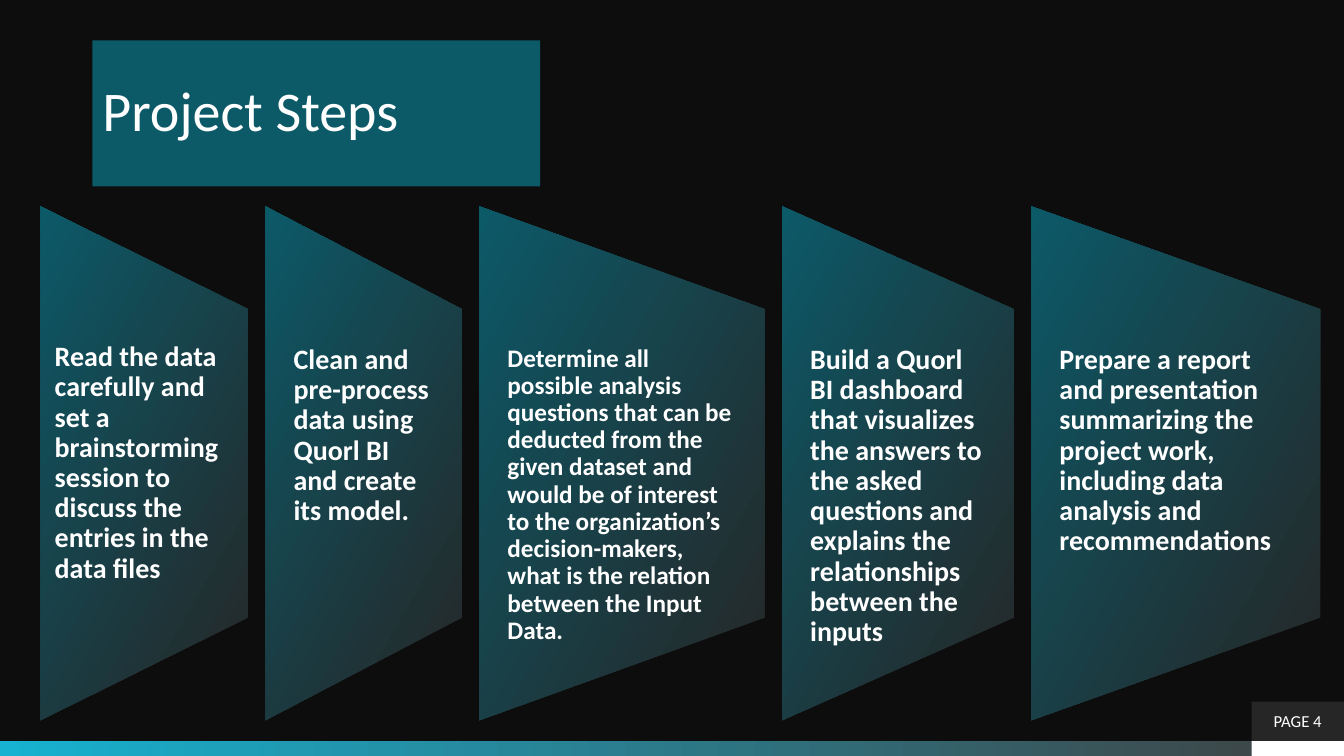
from pptx import Presentation
from pptx.dml.color import RGBColor
from pptx.enum.shapes import MSO_SHAPE as Preset
from pptx.enum.text import MSO_ANCHOR as Anchor, MSO_AUTO_SIZE as AutoSize, PP_ALIGN as Align
from pptx.oxml.ns import qn
from pptx.util import Cm, Pt

BLACK = RGBColor(0x0D, 0x0D, 0x0D)
CHARCOAL = RGBColor(0x26, 0x26, 0x26)
GREY = RGBColor(0x40, 0x40, 0x40)
TEAL = RGBColor(0x0C, 0x59, 0x68)
CYAN = RGBColor(0x17, 0xB2, 0xD1)
WHITE = RGBColor(0xFF, 0xFF, 0xFF)

SLIDE_W, SLIDE_H = 33.87, 19.05
BAR_H = 0.38
PAGE_W, PAGE_H = 2.33, 0.99
STEPS_LEFT, STEPS_TOP, STEPS_H, STEP_GAP = 1.02, 5.2, 12.95, 0.44

# Width, font size, side inset, top inset, anchor, wording
STEPS = [
    (5.23, 20, 0.36, 0, Anchor.MIDDLE,
     "Read the data carefully and set a brainstorming session to discuss "
     "the entries in the data files"),
    (4.95, 20, 0.71, 0.91, Anchor.TOP,
     "Clean and pre-process data using Quorl BI and create its model."),
    (7.19, 18, 0.71, 0.91, Anchor.TOP,
     "Determine all possible analysis questions that can be deducted from "
     "the given dataset and would be of interest to the organization’s "
     "decision-makers, what is the relation between the Input Data."),
    (5.84, 20, 0.71, 0.91, Anchor.TOP,
     "Build a Quorl BI dashboard that visualizes the answers to the asked "
     "questions and explains the relationships between the inputs"),
    (7.28, 20, 0.71, 0.91, Anchor.TOP,
     "Prepare a report and presentation summarizing the project work, "
     "including data analysis and recommendations"),
]


class StepsSlide:
    font = "Calibri"

    def __init__(self, deck):
        self.slide = deck.slides.add_slide(deck.slide_layouts[5])
        self.slide.background.fill.solid()
        self.slide.background.fill.fore_color.rgb = BLACK

    def set_text(self, holder, text, size, bold=False, align=Align.LEFT,
                 anchor=Anchor.MIDDLE, insets=(0.25, 0.13), spacing=0.9):
        """Fill a shape with one paragraph in the slide's style."""
        frame = holder.text_frame
        frame.text = text
        frame.word_wrap = True
        frame.auto_size = AutoSize.NONE
        frame.vertical_anchor = anchor
        frame.margin_left = frame.margin_right = Cm(insets[0])
        frame.margin_top = frame.margin_bottom = Cm(insets[1])
        paragraph = frame.paragraphs[0]
        paragraph.alignment = align
        paragraph.line_spacing = spacing
        font = paragraph.runs[0].font
        font.name, font.size, font.bold = self.font, Pt(size), bold
        font.color.rgb = WHITE

    def title(self, text, left, top, width, height):
        heading = self.slide.shapes.title
        heading.left, heading.top = Cm(left), Cm(top)
        heading.width, heading.height = Cm(width), Cm(height)
        heading.fill.solid()
        heading.fill.fore_color.rgb = TEAL
        self.set_text(heading, text, 40, insets=(0.25, 0.3))

    def block(self, left, top, width, height, color=None, preset=Preset.RECTANGLE):
        block = self.slide.shapes.add_shape(
            preset, Cm(left), Cm(top), Cm(width), Cm(height))
        block.shadow.inherit = False
        block.line.fill.background()
        if color is not None:
            block.fill.solid()
            block.fill.fore_color.rgb = color
        return block

    def shade(self, block, start, end, angle=0):
        """Apply a two-colour gradient whose angle ignores the block's rotation."""
        block.fill.gradient()
        block.fill.gradient_angle = angle
        for stop, color in zip(block.fill.gradient_stops, (start, end)):
            stop.color.rgb = color
        first, last = block.fill.gradient_stops
        first.position, last.position = 0, 1
        block._element.spPr.find(qn("a:gradFill")).set("rotWithShape", "0")

    def step(self, left, width, size, side, top_inset, anchor, text):
        # The preset lies on its side, so its width is the height of the step.
        panel = self.block(left + (width - STEPS_H) / 2,
                           STEPS_TOP + (STEPS_H - width) / 2,
                           STEPS_H, width, preset=Preset.FLOWCHART_MANUAL_OPERATION)
        panel.rotation = 270
        self.shade(panel, CHARCOAL, TEAL, angle=150)
        label = self.slide.shapes.add_textbox(
            Cm(left), Cm(STEPS_TOP + STEPS_H / 5), Cm(width), Cm(STEPS_H * 3 / 5))
        self.set_text(label, text, size, bold=True, anchor=anchor,
                      insets=(side, top_inset))

    def footer(self, text):
        bar_top = SLIDE_H - BAR_H
        page_left = SLIDE_W - PAGE_W
        self.shade(self.block(0, bar_top, SLIDE_W, BAR_H), CYAN, GREY)
        self.block(page_left, bar_top, PAGE_W, BAR_H, WHITE)
        page = self.block(page_left, bar_top - PAGE_H, PAGE_W, PAGE_H, CHARCOAL)
        self.set_text(page, text, 12, align=Align.CENTER, spacing=1.0)


def main():
    deck = Presentation()
    deck.slide_width, deck.slide_height = Cm(SLIDE_W), Cm(SLIDE_H)
    page = StepsSlide(deck)
    page.title("Project Steps", 2.33, 1.02, 11.28, 3.68)
    left = STEPS_LEFT
    for width, *style in STEPS:
        page.step(left, width, *style)
        left += width + STEP_GAP
    page.footer("PAGE 4")
    deck.save("out.pptx")


if __name__ == "__main__":
    main()
